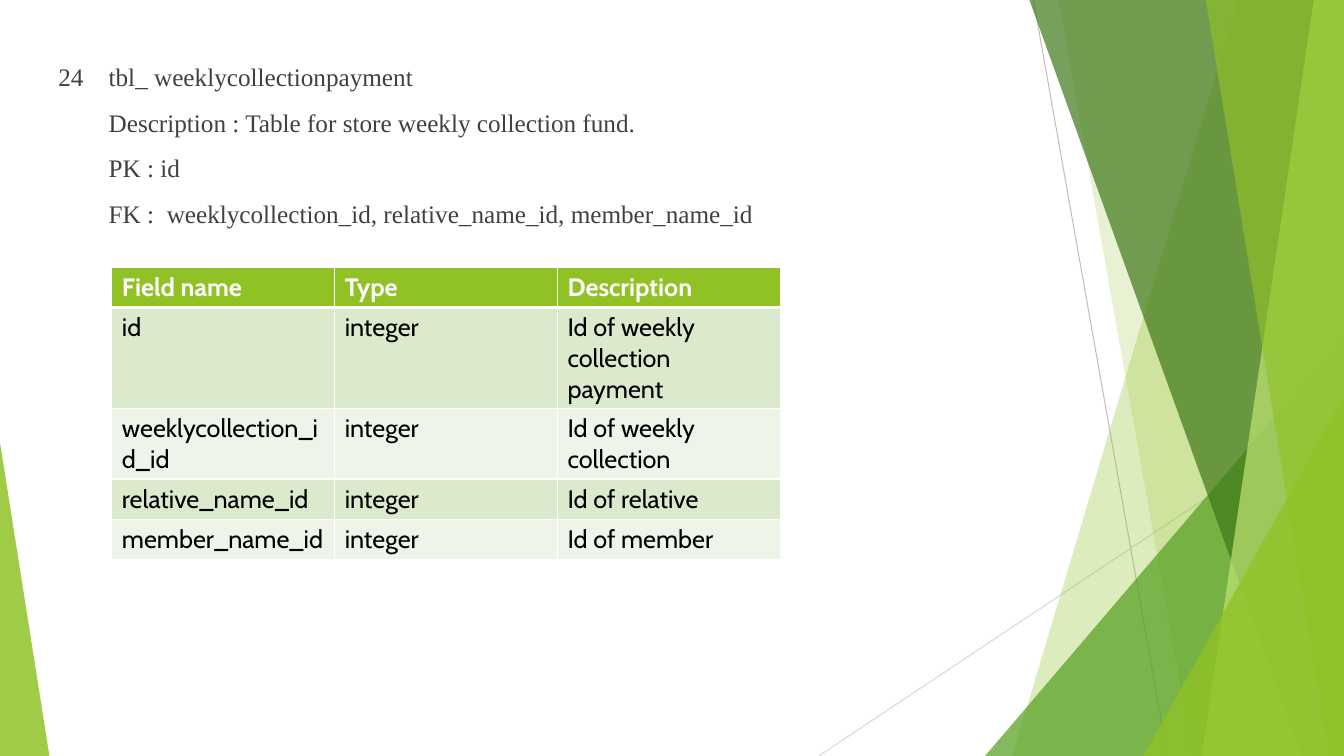
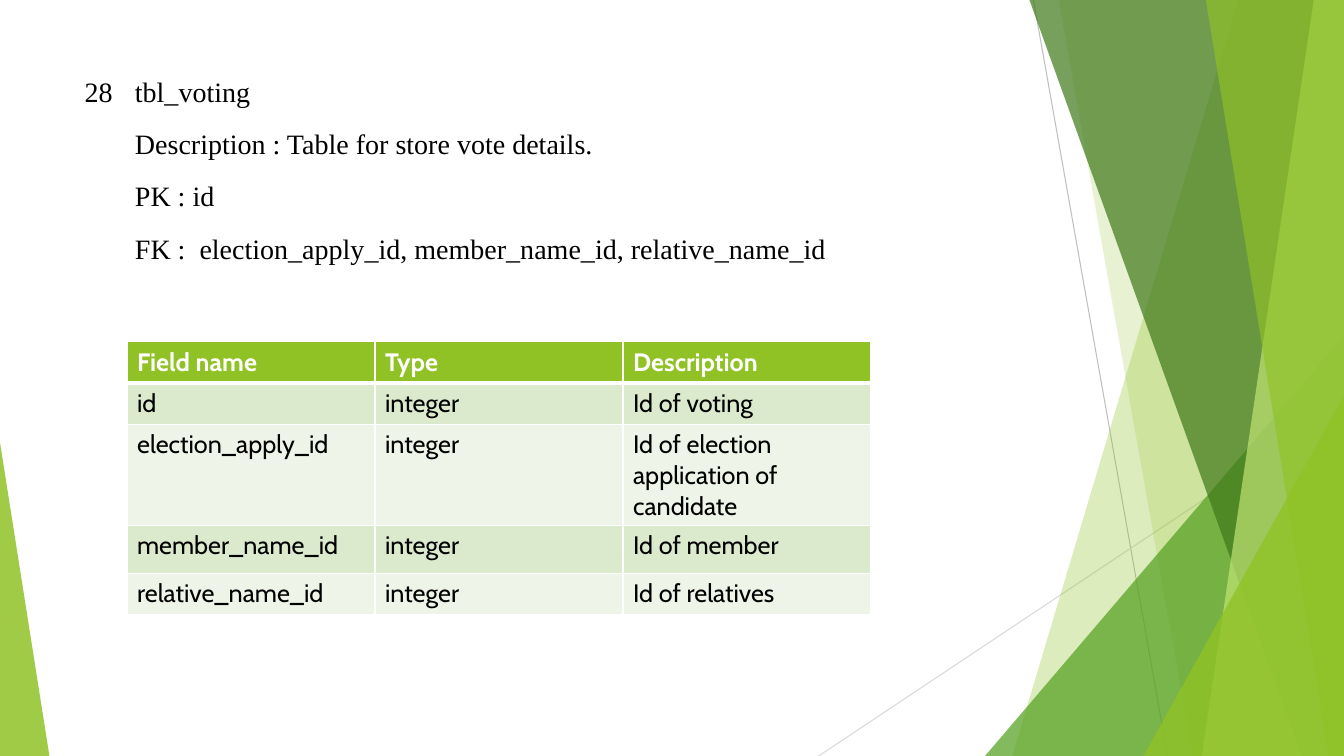
import pptx
import pptx.util
import pptx.dml.color
import pptx.enum.shapes
import pptx.oxml
import pptx.oxml.ns
from lxml import etree

PX = 9144  # EMU per px, 100 px to the inch
WIDE, HIGH = 1333, 750
INDENT = 50

HUES = {
    "lime": "90C226", "green": "54A021", "forest": "3F7819", "pale": "C0E474",
    "white": "FFFFFF", "black": "000000", "text": "404040",
    "odd": "DBE9CD", "even": "EEF4E8", "rule": "BFBFBF", "faint": "D9D9D9",
}
SERIF, SANS = "Times New Roman", "Cabin"

RULES = [("rule", (1025, 0), (1158, HIGH)), ("faint", (WIDE, 403), (812, HIGH))]

# Bands give the x of the slanted left edge at top and bottom;
# triangles give left, top, width and the apex position.
FACETS = [
    ("band", "lime", 30, (1228, 1004)),
    ("band", "lime", 20, (1050, 1183)),
    ("triangle", "green", 72, (977, 333, 356, 1)),
    ("band", "forest", 70, (1021, 1291)),
    ("band", "pale", 70, (1303, 1192)),
    ("band", "lime", 65, (1196, 1318)),
    ("triangle", "lime", 80, (1134, 393, 199, 1)),
    ("triangle", "lime", 85, (0, 439, 49, 0)),
]

HEAD = ("Field name", "Type", "Description")
PAGES = [
    {
        "box": (48, 56, 966, 185), "size": 18, "hue": "text",
        "before": 11, "spacing": 1.0,
        "lines": [
            "24\ttbl_ weeklycollectionpayment",
            "Description : Table for store weekly collection fund.",
            "PK : id",
            "FK :  weeklycollection_id, relative_name_id, member_name_id",
        ],
        "grid": (111, 265, 221), "rows": (40, 98, 68, 40, 40),
        "fields": [
            ("id", "integer", "Id of weekly collection payment"),
            ("weeklycollection_id_id", "integer", "Id of weekly collection"),
            ("relative_name_id", "integer", "Id of relative"),
            ("member_name_id", "integer", "Id of member"),
        ],
    },
    {
        "box": (74, 50, 944, 206), "size": 20, "hue": "black",
        "before": 0, "spacing": 1.56,
        "lines": [
            "28\ttbl_voting",
            "Description : Table for store vote details.",
            "PK : id",
            "FK :  election_apply_id, member_name_id, relative_name_id",
        ],
        "grid": (126, 339, 246), "rows": (41, 41, 100, 48, 41),
        "fields": [
            ("id", "integer", "Id of voting"),
            ("election_apply_id", "integer", "Id of election application of candidate"),
            ("member_name_id", "integer", "Id of member"),
            ("relative_name_id", "integer", "Id of relatives"),
        ],
    },
]


def px(*sizes):
    return [pptx.util.Emu(size * PX) for size in sizes]


def rgb(hue):
    return pptx.dml.color.RGBColor.from_string(HUES[hue])


def child(parent, tag, **attrs):
    return etree.SubElement(parent, pptx.oxml.ns.qn(tag), attrs)


def write(para, text, font, size, hue, bold=False):
    run = para.add_run()
    run.text = text
    run.font.name = font
    run.font.size = pptx.util.Pt(size)
    run.font.color.rgb = rgb(hue)
    run.font.bold = bold


def draw_rule(slide, hue, start, end):
    line = slide.shapes.add_connector(
        pptx.enum.shapes.MSO_CONNECTOR.STRAIGHT, *px(*start, *end))
    line.line.color.rgb = rgb(hue)
    line.line.width = pptx.util.Pt(0.75)
    child(line.element.spPr, "a:effectLst")


def draw_facet(slide, kind, hue, alpha, place):
    if kind == "band":
        top, foot = place
        pen = slide.shapes.build_freeform(top, 0, scale=PX)
        pen.add_line_segments([(WIDE, 0), (WIDE, HIGH), (foot, HIGH)], close=True)
        shape = pen.convert_to_shape()
    else:
        left, top, width, apex = place
        shape = slide.shapes.add_shape(
            pptx.enum.shapes.MSO_SHAPE.ISOSCELES_TRIANGLE,
            *px(left, top, width, HIGH - top))
        shape.adjustments[0] = apex
    shape.shadow.inherit = False
    shape.line.fill.background()
    shape.fill.solid()
    shape.fill.fore_color.rgb = rgb(hue)
    tint = shape.element.spPr.find(".//" + pptx.oxml.ns.qn("a:srgbClr"))
    child(tint, "a:alpha", val=str(alpha * 1000))


def draw_back(slide):
    for rule in RULES:
        draw_rule(slide, *rule)
    for facet in FACETS:
        draw_facet(slide, *facet)


def add_intro(slide, page):
    """Add the table's number, name and keys, the number hanging at the left."""
    frame = slide.shapes.add_textbox(*px(*page["box"])).text_frame
    frame.word_wrap = True
    for i, text in enumerate(page["lines"]):
        para = frame.add_paragraph() if i else frame.paragraphs[0]
        para.space_before = pptx.util.Pt(page["before"])
        para.line_spacing = page["spacing"]
        props = para._p.get_or_add_pPr()
        props.set("marL", str(INDENT * PX))
        props.set("indent", str(0 if i else -INDENT * PX))
        write(para, text, SERIF, page["size"], page["hue"])


def edge_cell(cell, row):
    """Border a cell in white, thicker between the head and the first row."""
    props = cell._tc.get_or_add_tcPr()
    for side in "LRTB":
        thick = (row, side) in ((0, "B"), (1, "T"))
        width = pptx.util.Pt(3 if thick else 1)
        line = child(props, "a:ln" + side, w=str(int(width)))
        child(child(line, "a:solidFill"), "a:srgbClr", val=HUES["white"])


def add_grid(slide, page):
    left, top, width = page["grid"]
    rows = [HEAD] + page["fields"]
    table = slide.shapes.add_table(
        len(rows), len(HEAD),
        *px(left, top, width * len(HEAD), sum(page["rows"]))).table
    for col in table.columns:
        col.width = px(width)[0]
    for r, texts in enumerate(rows):
        table.rows[r].height = px(page["rows"][r])[0]
        for c, text in enumerate(texts):
            cell = table.cell(r, c)
            edge_cell(cell, r)
            cell.fill.solid()
            cell.fill.fore_color.rgb = rgb(
                "lime" if r == 0 else "odd" if r % 2 else "even")
            write(cell.text_frame.paragraphs[0], text, SANS, 18,
                  "black" if r else "white", bold=r == 0)


def main():
    deck = pptx.Presentation()
    deck.slide_width, deck.slide_height = px(WIDE, HIGH)
    for page in PAGES:
        slide = deck.slides.add_slide(deck.slide_layouts[6])
        draw_back(slide)
        add_intro(slide, page)
        add_grid(slide, page)
    deck.save("out.pptx")


if __name__ == "__main__":
    main()
